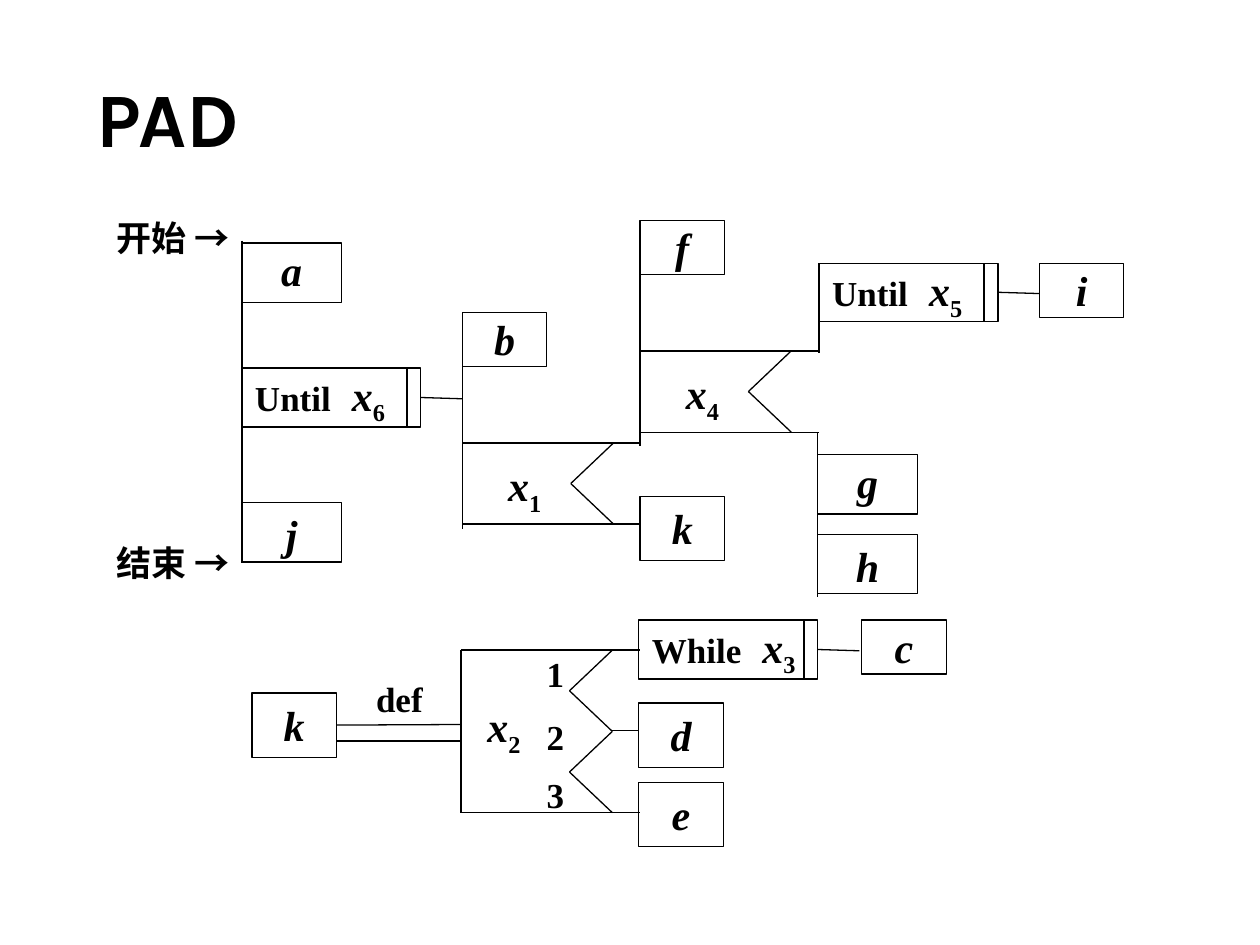
from collections import namedtuple

from lxml.etree import SubElement
from pptx import Presentation
from pptx.dml.color import RGBColor
from pptx.enum.shapes import MSO_CONNECTOR as LINE, MSO_SHAPE as SHAPE
from pptx.enum.text import MSO_ANCHOR as ANCHOR, PP_ALIGN as ALIGN
from pptx.oxml.ns import qn
from pptx.util import Inches, Pt

COLORS = {"ink": "000000", "paper": "FFFFFF"}
BODY, HEADING = "Times New Roman", "Karla"
RIGHT_SIDE = 3

Box = namedtuple("Box", "left top width height")


def color(name):
    return RGBColor.from_string(COLORS[name])


def write(shape, *spans, size=24, font=BODY, align=ALIGN.LEFT, anchor=ANCHOR.TOP,
          side=0.1, top=0.05, bottom=0.05, before=50):
    """Fill a shape with spans, each a text or a (text, format dict) pair."""
    frame = shape.text_frame
    frame.word_wrap = True
    frame.vertical_anchor = anchor
    frame.margin_left = frame.margin_right = Inches(side)
    frame.margin_top, frame.margin_bottom = Inches(top), Inches(bottom)
    para = frame.paragraphs[0]
    para.alignment = align
    if before:
        spacing = SubElement(para._p.get_or_add_pPr(), qn("a:spcBef"))
        SubElement(spacing, qn("a:spcPct")).set("val", str(before * 1000))
    for item in spans:
        text, style = (item, {}) if isinstance(item, str) else item
        span = para.add_run()
        span.text = text
        span.font.name = font
        span.font.bold = True
        span.font.italic = style.get("italic", False)
        span.font.size = Pt(style.get("size", size))
        span.font.color.rgb = color("ink")
        if "baseline" in style:
            span._r.get_or_add_rPr().set("baseline", str(style["baseline"] * 1000))


def variable(index):
    return ("x", {"italic": True}), (index, {"baseline": -25})


def label(page, box, *spans, **style):
    write(page.shapes.add_textbox(*map(Inches, box)), *spans, **style)


def frame_box(page, box):
    shape = page.shapes.add_shape(SHAPE.RECTANGLE, *map(Inches, box))
    shape.shadow.inherit = False
    shape.fill.background()
    shape.line.color.rgb = color("ink")
    shape.line.width = Pt(0.75)
    return shape


def line(page, x1, y1, x2, y2, start=None):
    """Draw a line, joined to the right side of the start shape if there is one."""
    link = page.shapes.add_connector(LINE.STRAIGHT, *map(Inches, (x1, y1, x2, y2)))
    link.line.color.rgb = color("ink")
    link.line.width = Pt(0.75)
    SubElement(link._element.spPr, qn("a:effectLst"))
    if start is not None:
        link.begin_connect(start, RIGHT_SIDE)


def step(page, left, top, name, width=0.67, height=0.43, inset=0.01):
    """Draw the box of one plain step."""
    shape = frame_box(page, Box(left, top, width, height))
    write(shape, (name, {"italic": True}), align=ALIGN.CENTER, top=inset, bottom=0.01)
    return shape


def wide_step(page, left, top, name, inset=0.01):
    return step(page, left, top, name, 0.79, 0.47, inset)


def tall_step(page, left, top, name):
    return step(page, left, top, name, 0.67, 0.51, 0.05)


def loop(page, box, word, index):
    """Draw a loop box with its inner bar and the line to its body."""
    shape = frame_box(page, box)
    write(shape, " ", (word, {"size": 20}), "  ", *variable(index),
          side=0.02, top=0.01, bottom=0.01)
    right, middle = box.left + box.width, box.top + box.height / 2
    line(page, right - 0.11, box.top, right - 0.11, box.top + box.height)
    line(page, right, middle, right + 0.33, middle + 0.01, start=shape)


def fork(page, box, ways=2):
    """Draw a choice: its two long edges and one notch between each pair of ways."""
    left, top, width, height = box
    for y in (top, top + height):
        line(page, left, y, left + width, y)
    gap = height / (ways - 1)
    for number in range(ways - 1):
        y = top + number * gap
        for edge in (y, y + gap):
            line(page, left + 1.2, edge, left + 0.86, y + gap / 2)


def main_sequence(page, box):
    left, top, width, height = box
    for y, text in ((top - 0.24, "开始 →"), (top + 2.34, "结束 →")):
        label(page, Box(left - 1.09, y, 1.17, 0.43), text, size=20)
    line(page, left, top, left, top + height)
    wide_step(page, left, top + 0.02, "a")
    loop(page, Box(left, top + 1.01, width, 0.47), "Until", "6")
    wide_step(page, left, top + 2.08, "j", inset=0.05)


def step_then_choice(page, box, name, index):
    left, top, width, height = box
    step(page, left, top, name)
    line(page, left, top + 0.02, left, top + height)
    fork(page, Box(left, top + 1.035, width, 0.645))
    label(page, Box(left + 0.16, top + 1.12, 0.67, 0.5), *variable(index),
          align=ALIGN.CENTER)


def upper_outcome(page, box):
    left, top, width, height = box
    line(page, left, top, left, top + height)
    loop(page, Box(left, top, width, 0.46), "Until", "5")
    step(page, left + 1.75, top, "i")


def lower_outcome(page, box):
    left, top, _, height = box
    line(page, left, top, left, top + height)
    wide_step(page, left, top + 0.17, "g")
    wide_step(page, left, top + 0.8, "h", inset=0.05)


def definition(page, box):
    left, top, width, height = box
    rail, ends = left + 1.66, left + 3.07
    label(page, Box(left + 0.67, top + 0.41, 1, 0.43), "def", size=20, align=ALIGN.CENTER)
    term = tall_step(page, left, top + 0.58, "k")
    line(page, left + 0.67, top + 0.83, rail, top + 0.83, start=term)
    line(page, left + 0.67, top + 0.96, rail, top + 0.96)

    line(page, rail, top + 0.24, rail, top + 1.53)
    fork(page, Box(rail, top + 0.24, 1.42, 1.29), ways=3)
    line(page, rail + 1.2, top + 0.88, ends, top + 0.88)
    label(page, Box(left + 1.58, top + 0.63, 0.84, 0.42), *variable("2"),
          align=ALIGN.CENTER, top=0.01, bottom=0.01)
    for number, y in (("1", 0.21), ("2", 0.71), ("3", 1.17)):
        label(page, Box(left + 2.24, top + y, 0.5, 0.4), number, size=20)

    loop(page, Box(ends, top, 1.42, 0.47), "While", "3")
    step(page, left + width - 0.67, top, "c")
    tall_step(page, ends, top + 0.66, "d")
    tall_step(page, ends, top + height - 0.51, "e")


def build():
    deck = Presentation()
    deck.slide_width, deck.slide_height = Inches(10), Inches(7.5)
    page = deck.slides.add_slide(deck.slide_layouts[6])
    page.background.fill.solid()
    page.background.fill.fore_color.rgb = color("paper")

    label(page, Box(0.67, 0.44, 7.58, 0.9), "PAD", size=44, font=HEADING,
          anchor=ANCHOR.BOTTOM, before=0)
    main_sequence(page, Box(1.92, 1.91, 1.42, 2.56))
    step_then_choice(page, Box(3.67, 2.48, 1.42, 1.72), "b", "1")
    step_then_choice(page, Box(5.08, 1.75, 1.42, 1.79), "f", "4")
    tall_step(page, 5.08, 3.94, "k")
    upper_outcome(page, Box(6.5, 2.09, 1.42, 0.71))
    lower_outcome(page, Box(6.49, 3.44, 0.79, 1.3))
    definition(page, Box(2, 4.92, 5.51, 1.8))
    deck.save("out.pptx")


if __name__ == "__main__":
    build()
